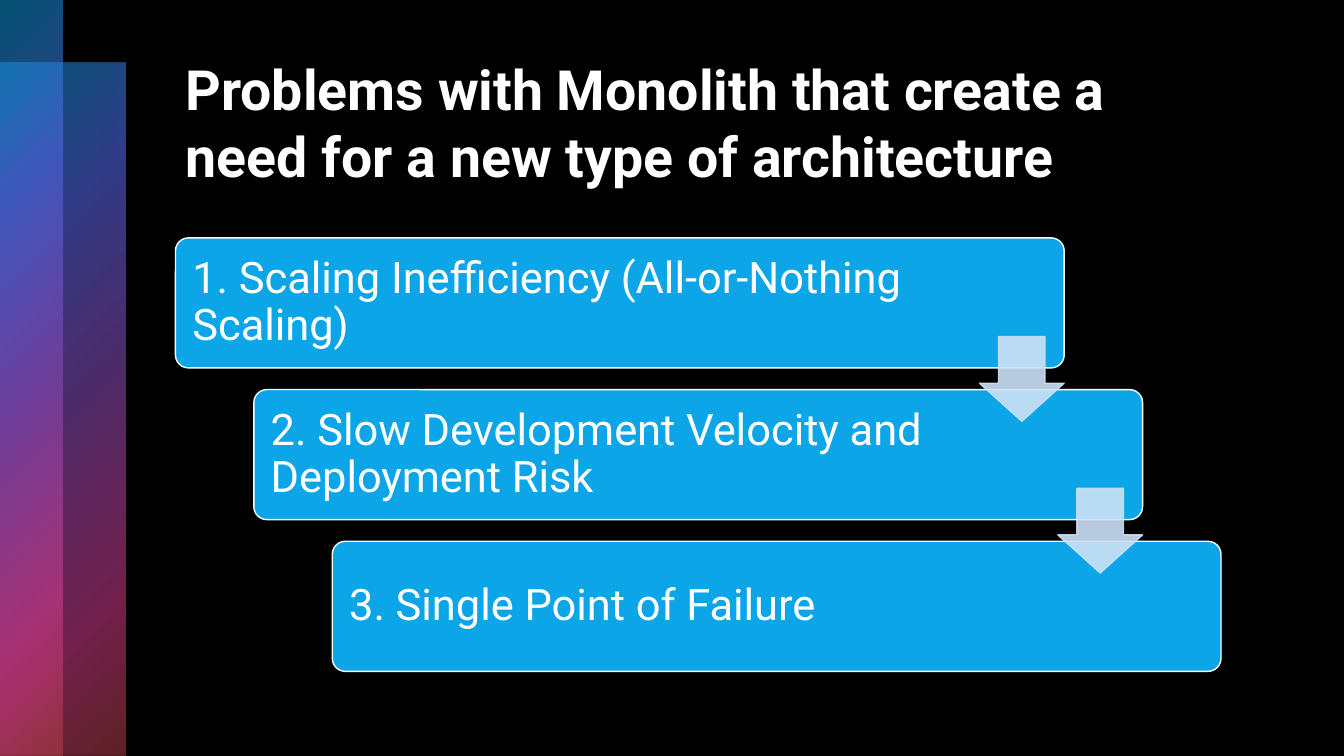
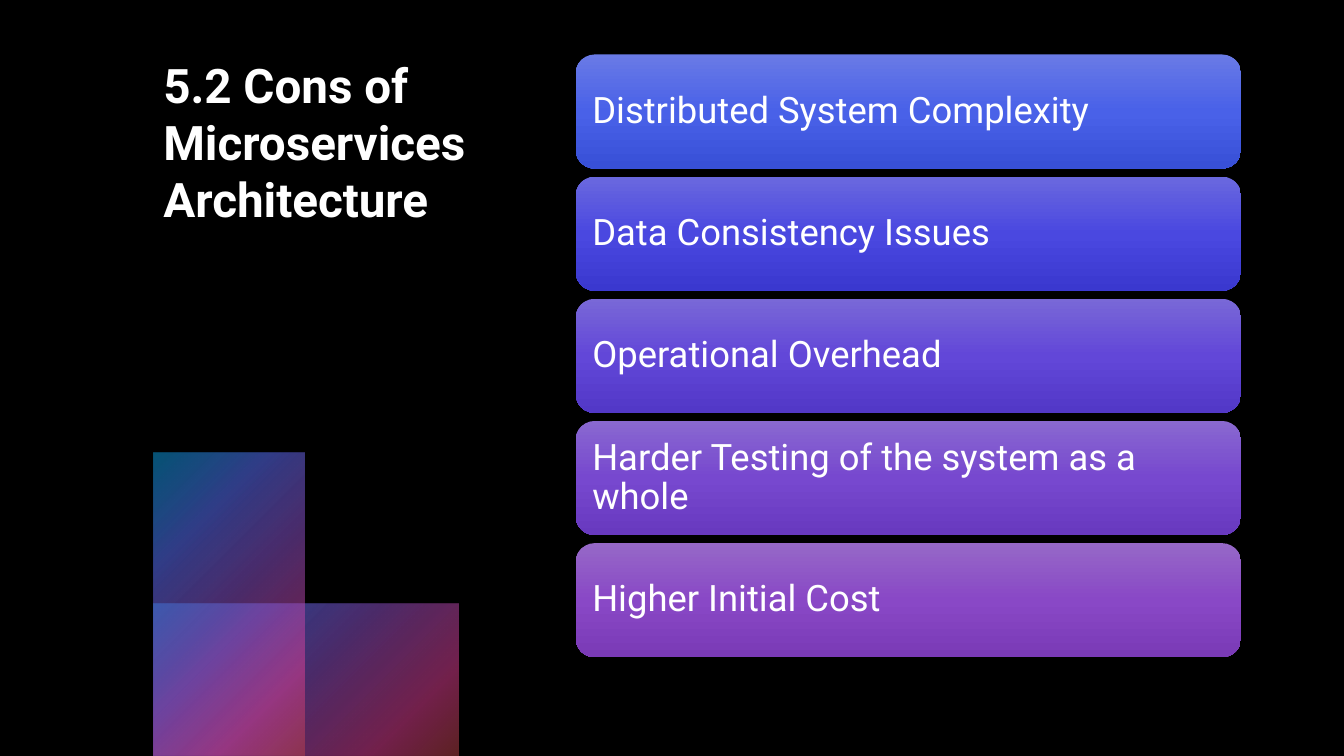
from lxml import etree
from pptx import Presentation
from pptx.dml.color import RGBColor
from pptx.enum.shapes import MSO_SHAPE as Preset
from pptx.enum.text import MSO_ANCHOR as Anchor, MSO_AUTO_SIZE as AutoSize, PP_ALIGN as Align
from pptx.oxml.ns import qn
from pptx.util import Inches, Pt

FONT = "Roboto"
BLACK, WHITE, BLUE, PALE = "000000", "FFFFFF", "0BA5E8", "CCE1F6"
# position %, colour, opacity %
GLOW = [(0, BLUE, 50), (25, "5066E1", 60), (50, "894EC0", 55),
        (81, "E54196", 50), (99, "BE4449", 50)]

PROBLEMS = [
    "1. Scaling Inefficiency (All-or-Nothing Scaling)",
    "2. Slow Development Velocity and Deployment Risk",
    "3. Single Point of Failure",
]
CONS = [
    ("Distributed System Complexity", ("697AE6", "4961E8", "3850D7")),
    ("Data Consistency Issues", ("6A68DF", "4A48E0", "3A38CF")),
    ("Operational Overhead", ("7968D7", "6247D8", "5238C7")),
    ("Harder Testing of the system as a whole", ("8968D0", "7748CF", "6839BF")),
    ("Higher Initial Cost", ("9668C7", "8948C6", "7A3AB6")),
]


def color(value):
    return RGBColor.from_string(value)


def set_opacity(parent, percent):
    for element in parent.iter(qn("a:srgbClr")):
        etree.SubElement(element, qn("a:alpha"), val=str(percent * 1000))


def set_gradient(shape, stops, radial=False):
    """Fill with (position, colour, opacity) stops, from the top or the top left corner."""
    shape.fill.solid()
    solid = shape._element.spPr.find(qn("a:solidFill"))
    gradient = etree.Element(qn("a:gradFill"), rotWithShape="1")
    stop_list = etree.SubElement(gradient, qn("a:gsLst"))
    for position, value, opacity in stops:
        stop = etree.SubElement(stop_list, qn("a:gs"), pos=str(position * 1000))
        etree.SubElement(stop, qn("a:srgbClr"), val=value)
        if opacity < 100:
            set_opacity(stop, opacity)
    if radial:
        path = etree.SubElement(gradient, qn("a:path"), path="circle")
        etree.SubElement(path, qn("a:fillToRect"), r="100000", b="100000")
    else:
        etree.SubElement(gradient, qn("a:lin"), ang="5400000", scaled="0")
    solid.getparent().replace(solid, gradient)


def add_shape(slide, preset, box, fill=None, line=None, adjustments=()):
    shape = slide.shapes.add_shape(preset, *map(Inches, box))
    shape.shadow.inherit = False
    for index, value in enumerate(adjustments):
        shape.adjustments[index] = value
    if fill:
        shape.fill.solid()
        shape.fill.fore_color.rgb = color(fill)
    if line:
        shape.line.color.rgb = color(line)
        shape.line.width = Pt(1)
    else:
        shape.line.fill.background()
    return shape


def write_text(shape, text, size, bold=False, anchor=Anchor.MIDDLE, spacing=0.9,
               insets=(0.1, 0.05, 0.1, 0.05)):
    frame = shape.text_frame
    frame.word_wrap = True
    frame.auto_size = AutoSize.NONE
    frame.vertical_anchor = anchor
    (frame.margin_left, frame.margin_top,
     frame.margin_right, frame.margin_bottom) = map(Inches, insets)
    paragraph = frame.paragraphs[0]
    paragraph.text = text
    paragraph.alignment = Align.LEFT
    paragraph.line_spacing = spacing
    font = paragraph.font
    font.name, font.size, font.bold = FONT, Pt(size), bold
    font.color.rgb = color(WHITE)


def add_glow(slide, box):
    set_gradient(add_shape(slide, Preset.RECTANGLE, box), GLOW, radial=True)


def add_titled_slide(presentation, title, box, size):
    slide = presentation.slides.add_slide(presentation.slide_layouts[5])
    shape = slide.shapes.title
    shape.left, shape.top, shape.width, shape.height = map(Inches, box)
    write_text(shape, title, size, bold=True, anchor=Anchor.TOP, spacing=1.0)
    return slide


def add_staircase(slide, box, items):
    """Steps go down to the right, each joined to the next by an arrow."""
    left, top, width, height = box
    step_width, step_height, arrow_size = 0.85 * width, 0.3 * height, 0.84
    shift = (width - step_width) / (len(items) - 1)
    drop = (height - step_height) / (len(items) - 1)
    for index, item in enumerate(items):
        step_box = (left + index * shift, top + index * drop, step_width, step_height)
        step = add_shape(slide, Preset.ROUNDED_RECTANGLE, step_box, BLUE, WHITE, [0.1])
        write_text(step, item, 31, insets=(0.13, 0.13, 1.44, 0.13))
    for index in range(len(items) - 1):
        arrow_box = (left + index * shift + step_width - arrow_size,
                     top + index * drop + 0.98, arrow_size, arrow_size)
        arrow = add_shape(slide, Preset.DOWN_ARROW, arrow_box, PALE, PALE, [0.55, 0.45])
        set_opacity(arrow._element.spPr, 90)


def add_card_stack(slide, box, cards, gap=0.08):
    left, top, width, height = box
    card_height = (height + gap) / len(cards) - gap
    for index, (text, shades) in enumerate(cards):
        card_box = (left, top + index * (card_height + gap), width, card_height)
        card = add_shape(slide, Preset.ROUNDED_RECTANGLE, card_box)
        set_gradient(card, [(50 * place, shade, 100) for place, shade in enumerate(shades)])
        write_text(card, text, 26, insets=(0.11,) * 4)


def add_problems_slide(presentation):
    slide = add_titled_slide(
        presentation,
        "Problems with Monolith that create a need for a new type of architecture",
        (1.74, 0.5, 10.37, 1.7), 39.6)
    add_glow(slide, (0, 0.62, 1.24, 6.88))
    add_glow(slide, (0, 0, 0.62, 7.5))
    add_staircase(slide, (1.74, 2.36, 10.37, 4.3), PROBLEMS)


def add_cons_slide(presentation):
    slide = add_titled_slide(presentation, "5.2 Cons of Microservices Architecture",
                             (1.52, 0.5, 3.48, 3.71), 34)
    add_glow(slide, (1.52, 5.99, 3.03, 1.51))
    add_glow(slide, (1.52, 4.49, 1.5, 3.01))
    add_card_stack(slide, (5.71, 0.54, 6.6, 5.98), CONS)


def main():
    presentation = Presentation()
    presentation.slide_width, presentation.slide_height = Inches(13.33), Inches(7.5)
    background = presentation.slide_master.background.fill
    background.solid()
    background.fore_color.rgb = color(BLACK)
    add_problems_slide(presentation)
    add_cons_slide(presentation)
    presentation.save("out.pptx")


if __name__ == "__main__":
    main()
